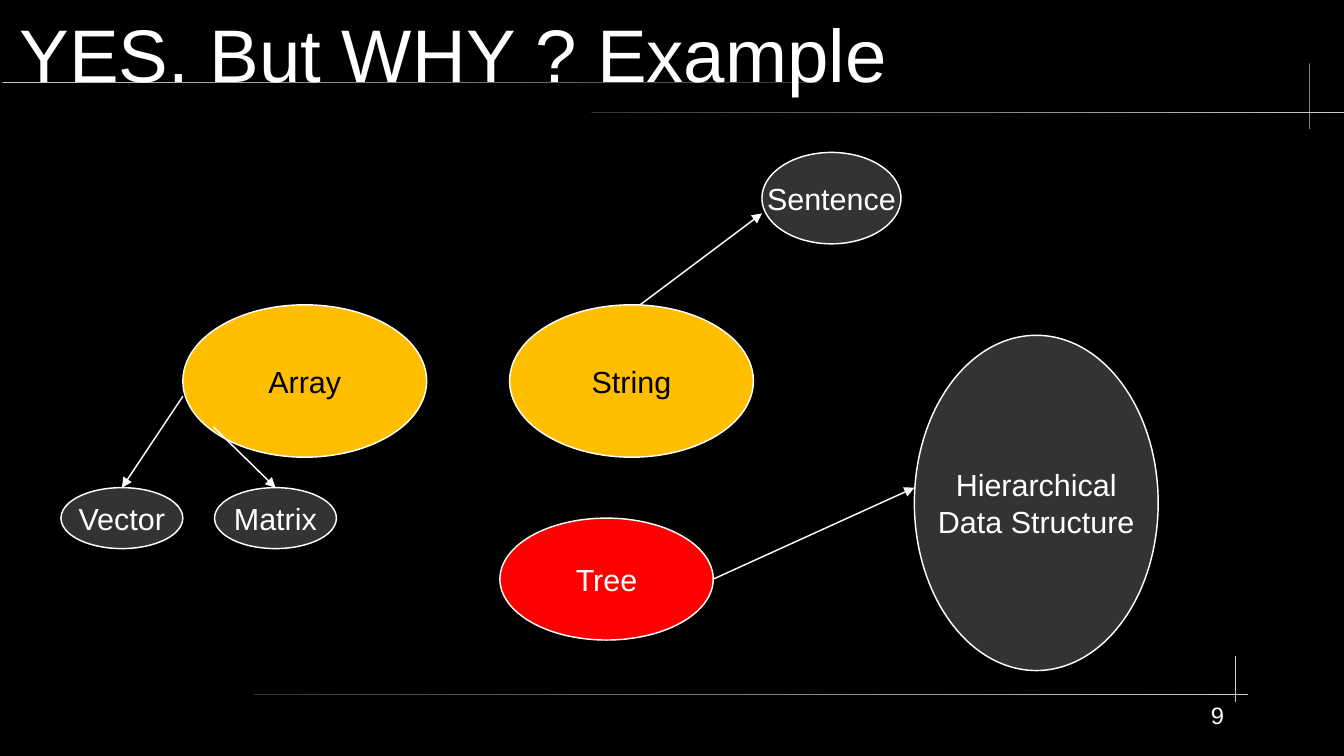
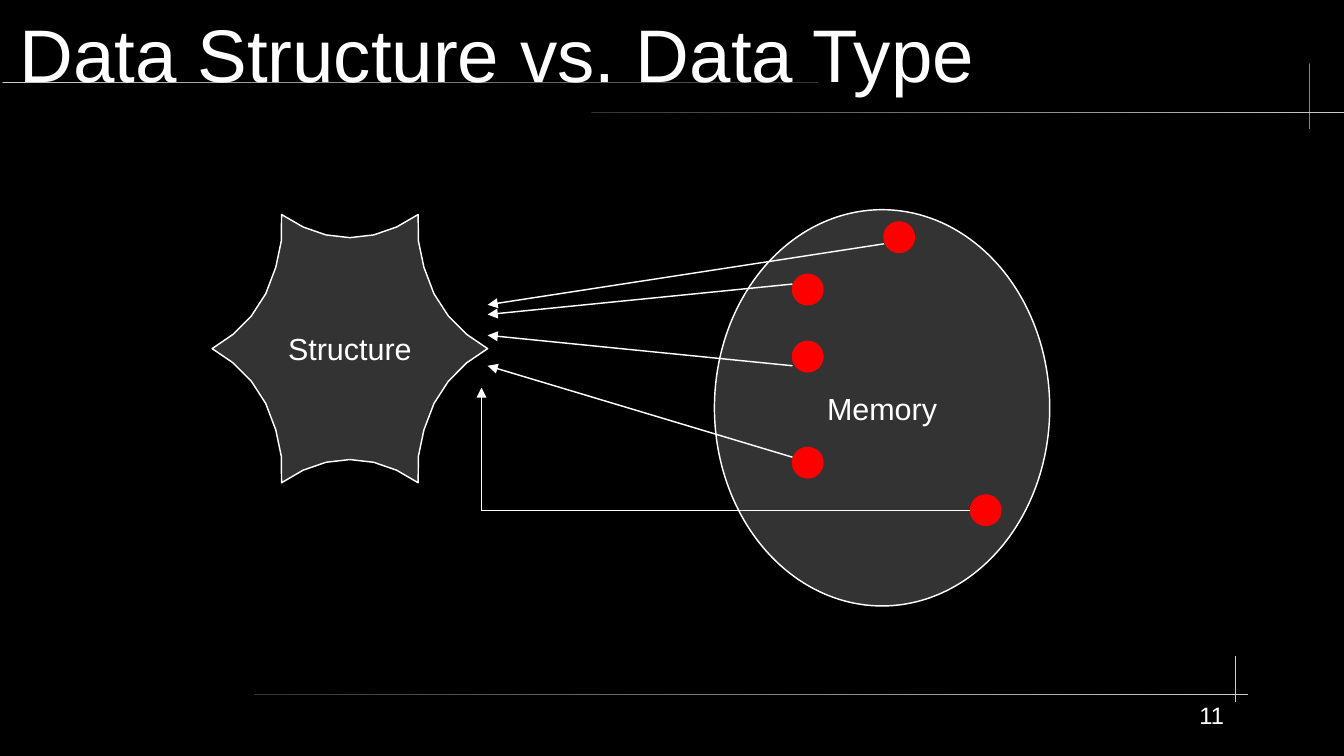
from lxml import etree
from pptx import Presentation
from pptx import util as u
from pptx.dml.color import RGBColor
from pptx.enum import shapes, text
from pptx.oxml.ns import qn

PX = 9144  # EMU in one px, 100 px to the inch
SLIDE_CM = (28, 15.75)
FONT = "Arial"
COLOURS = {"back": "000000", "white": "FFFFFF", "pale": "CCCCCC",
           "grey": "333333", "amber": "FFBF00", "red": "FF0000"}

# Shared frame: (left, top, width, height), colour at each end
RULES = [((2, 67, 669, 1), "pale", "grey"),
         ((485, 92, 621, 1), "grey", "pale"),
         ((1074, 52, 1, 54), "pale", "pale"),
         ((208, 569, 816, 1), "grey", "pale"),
         ((1013, 538, 1, 38), "pale", "pale")]
TITLE_BOX = (16, 8, 1043, 71)
NUMBER_BOX = (827, 575, 177, 45)

# Ovals: label, box, fill, text colour.  Arrows: start, end point or label of the oval met at its top
WHY = {
    "title": "YES. But WHY ? Example", "number": "9",
    "ovals": [("Array", (150, 250, 200, 125), "amber", "back"),
              ("String", (418, 250, 200, 125), "amber", "back"),
              ("Tree", (410, 425, 175, 100), "red", "white"),
              ("Vector", (50, 400, 100, 50), "grey", "white"),
              ("Matrix", (176, 400, 100, 50), "grey", "white"),
              ("Sentence", (625, 125, 114, 75), "grey", "white"),
              ("Hierarchical\nData Structure", (750, 275, 200, 275), "grey", "white")],
    "arrows": [((150, 325), "Vector"), ((175, 350), "Matrix"),
               ((525, 250), (625, 175)), ((585, 475), (750, 400))],
}
VERSUS = {
    "title": "Data Structure vs. Data Type", "number": "11",
    "ovals": [("Memory", (586, 172, 275, 325), "grey", "white")],
    "arrows": [((650, 233), (400, 258)), ((725, 200), (400, 250)),
               ((650, 300), (400, 275)), ((650, 375), (400, 300))],
}
DOT = 25
DOTS = [(650, 225), (650, 280), (725, 182), (650, 367), (796, 406)]
BENT_ARROW = ((796, 419), (395, 318))

# Star: curves of its upper right quarter, measured from its centre
STAR_CENTRE = (287, 286)
STAR_CURVES = [((0, -91), (20, -91), (39, -98), (56, -110)),
               ((56, -110), (54, -88), (59, -67), (69, -45)),
               ((69, -45), (79, -25), (95, -10), (113, 0))]
STEPS = 3


def emu(lengths):
    return [round(length * PX) for length in lengths]


def rgb(name):
    return RGBColor.from_string(COLOURS[name])


def write(frame, words, size, colour, align):
    frame.text = words
    for paragraph in frame.paragraphs:
        paragraph.alignment = align
        for run in paragraph.runs:
            run.font.name, run.font.size = FONT, u.Pt(size)
            run.font.color.rgb = rgb(colour)


def paint(shape, fill, line):
    shape.shadow.inherit = False
    shape.fill.solid()
    shape.fill.fore_color.rgb = rgb(fill)
    shape.line.color.rgb = rgb(line)
    shape.line.width = u.Pt(0.85)


def label(shape, words, colour, wrap):
    write(shape.text_frame, words, 18, colour, text.PP_ALIGN.CENTER)
    shape.text_frame.vertical_anchor = text.MSO_ANCHOR.MIDDLE
    shape.text_frame.word_wrap = wrap


def add_oval(slide, box, fill, line):
    oval = slide.shapes.add_shape(shapes.MSO_SHAPE.OVAL, *emu(box))
    paint(oval, fill, line)
    return oval


def add_arrow(slide, start, end, kind=shapes.MSO_CONNECTOR.STRAIGHT):
    arrow = slide.shapes.add_connector(kind, *emu(start + end))
    arrow.line.color.rgb = rgb("white")
    arrow.line.width = u.Pt(0.85)
    etree.SubElement(arrow.element.spPr.find(qn("a:ln")), qn("a:tailEnd"), type="triangle")
    etree.SubElement(arrow.element.spPr, qn("a:effectLst"))
    return arrow


def no_margins(frame):
    frame.margin_left = frame.margin_top = frame.margin_right = frame.margin_bottom = 0


def dress_layout(layout, slide):
    """Give the layout its background, title place and rules."""
    layout.background.fill.solid()
    layout.background.fill.fore_color.rgb = rgb("back")
    title = layout.placeholders[0]
    title.left, title.top, title.width, title.height = emu(TITLE_BOX)
    for box, *ends in RULES:
        rule = slide.shapes.add_shape(shapes.MSO_SHAPE.ROUNDED_RECTANGLE, *emu(box))
        rule.adjustments[0] = 0.5
        rule.shadow.inherit = False
        rule.line.fill.background()
        rule.fill.gradient()
        rule.fill.gradient_angle = 0
        for stop, colour in zip(rule.fill.gradient_stops, ends):
            stop.color.rgb = rgb(colour)
        layout.shapes.element.append(rule.element)


def fill_slide(slide, content):
    """Title, number, ovals and straight arrows."""
    title = slide.shapes.title.text_frame
    write(title, content["title"], 44, "white", text.PP_ALIGN.LEFT)
    title.vertical_anchor = text.MSO_ANCHOR.MIDDLE
    no_margins(title)

    ovals = {}
    for words, box, fill, colour in content["ovals"]:
        ovals[words] = add_oval(slide, box, fill, "white")
        label(ovals[words], words, colour, False)
    for start, end in content["arrows"]:
        if end in ovals:
            add_arrow(slide, start, start).end_connect(ovals[end], 0)
        else:
            add_arrow(slide, start, end)

    number = slide.shapes.add_textbox(*emu(NUMBER_BOX)).text_frame
    number.word_wrap = True
    no_margins(number)
    write(number, content["number"], 14, "white", text.PP_ALIGN.RIGHT)


def star_outline():
    """Sample the quarter's curves, then mirror them to the full outline."""
    quarter = [STAR_CURVES[0][0]]
    for curve in STAR_CURVES:
        for step in range(1, STEPS + 1):
            t = step / STEPS
            weights = ((1 - t) ** 3, 3 * t * (1 - t) ** 2, 3 * t * t * (1 - t), t ** 3)
            quarter.append([sum(w * p[axis] for w, p in zip(weights, curve))
                            for axis in (0, 1)])
    right = quarter + [(x, -y) for x, y in quarter[-2::-1]]
    whole = right + [(-x, y) for x, y in right[-2:0:-1]]
    return [emu((STAR_CENTRE[0] + x, STAR_CENTRE[1] + y)) for x, y in whole]


def add_star(slide):
    outline = star_outline()
    builder = slide.shapes.build_freeform(*outline[0])
    builder.add_line_segments(outline[1:], close=True)
    star = builder.convert_to_shape()
    paint(star, "grey", "white")
    label(star, "Structure", "white", True)


def main():
    deck = Presentation()
    deck.slide_width, deck.slide_height = map(u.Cm, SLIDE_CM)
    layout = deck.slide_layouts[5]

    why = deck.slides.add_slide(layout)
    dress_layout(layout, why)
    fill_slide(why, WHY)

    versus = deck.slides.add_slide(layout)
    fill_slide(versus, VERSUS)
    for corner in DOTS:
        add_oval(versus, corner + (DOT, DOT), "red", "red")
    bent = add_arrow(versus, *BENT_ARROW, shapes.MSO_CONNECTOR.ELBOW)
    bent.element.spPr.find(qn("a:prstGeom")).set("prst", "bentConnector2")
    add_star(versus)

    deck.save("out.pptx")


if __name__ == "__main__":
    main()
